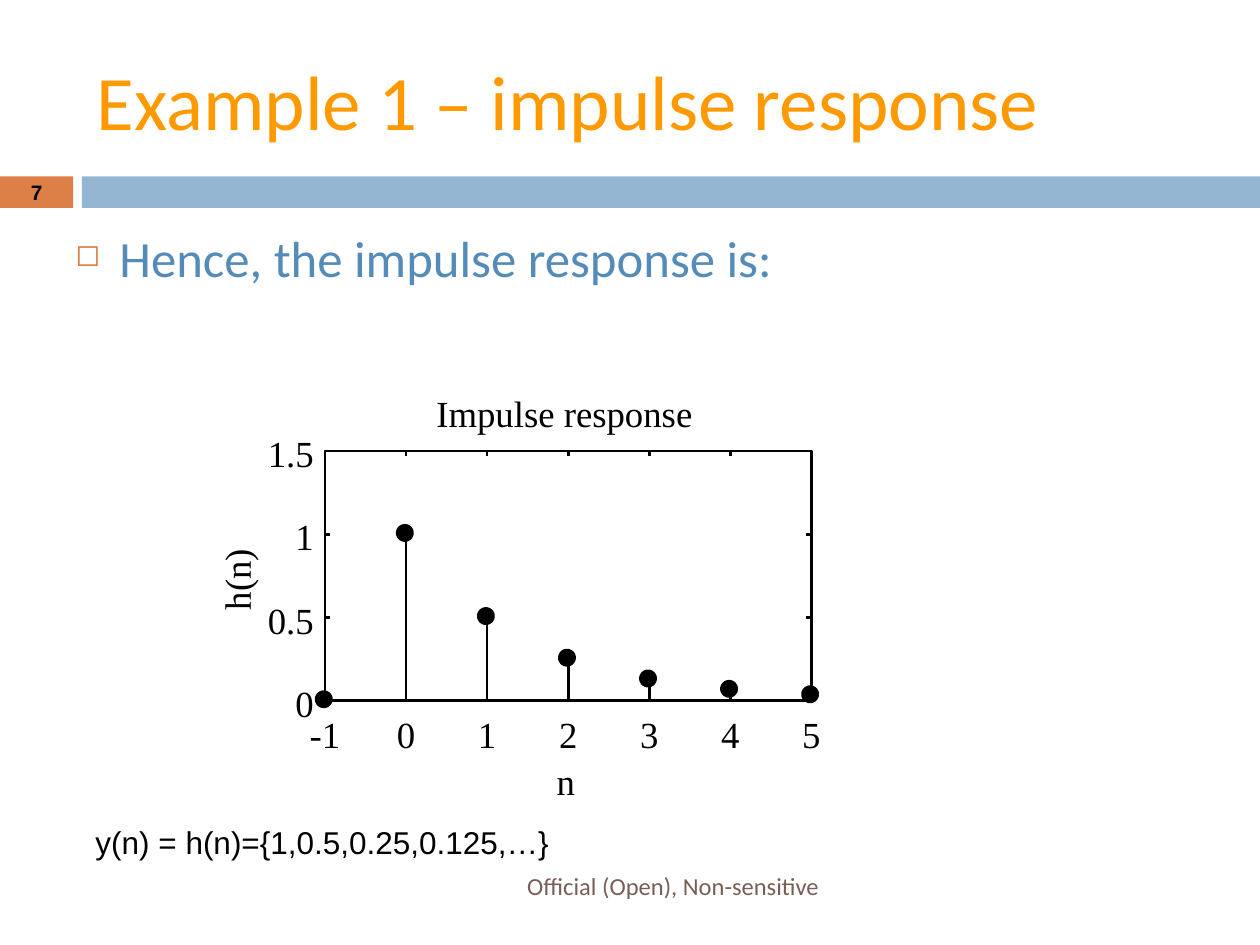
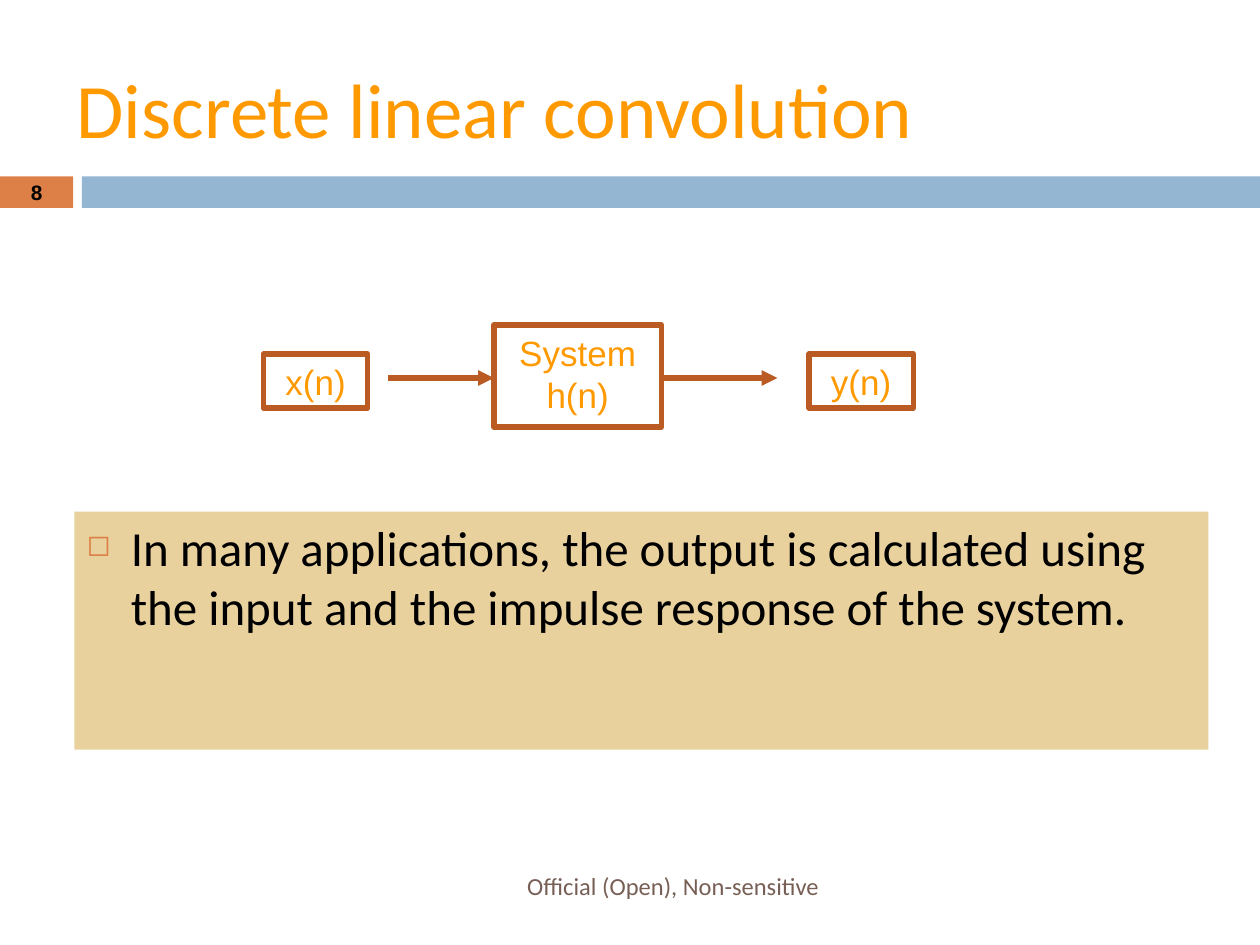
"""Build two slides on impulse response and discrete linear convolution."""
from dataclasses import dataclass

from lxml import etree
from pptx import Presentation
from pptx import util as u
from pptx.dml import color
from pptx.enum import shapes, text
from pptx.oxml import ns

COLORS = {
    "title": "FF9900", "accent": "DD8047", "band": "94B6D2", "footer": "775F55",
    "heading": "558BB8", "ink": "000000", "panel": "E8D19D", "diagram": "B95B22",
}
ALIGN = text.PP_ALIGN
ANCHOR = text.MSO_ANCHOR


@dataclass(frozen=True)
class Box:
    left: float
    top: float
    width: float
    height: float

    def lengths(self) -> list:
        return [u.Inches(v) for v in (self.left, self.top, self.width, self.height)]


@dataclass(frozen=True)
class Style:
    font: str
    size: float
    color: str
    bold: bool = False
    align: ALIGN = ALIGN.LEFT
    anchor: ANCHOR = ANCHOR.TOP
    inset: bool = True


TITLE = Style("Calibri", 44, "title", anchor=ANCHOR.MIDDLE)
NUMBER = Style("Arial", 11.9, "ink", True, ALIGN.CENTER, ANCHOR.MIDDLE)
FOOTER = Style("Calibri", 14, "footer", align=ALIGN.RIGHT, anchor=ANCHOR.MIDDLE)
HEADING = Style("Calibri", 29, "heading")
BODY = Style("Calibri", 28, "ink")
FORMULA = Style("Arial", 18, "ink")
BLOCK = Style("Arial", 20, "title", align=ALIGN.CENTER)
PLOT_TEXT = Style("Times New Roman", 21, "ink", align=ALIGN.CENTER, inset=False)
PLOT_VALUE = Style("Times New Roman", 21, "ink", align=ALIGN.RIGHT, inset=False)

PLOT = Box(2.58, 3.58, 3.86, 1.98)
FIRST_N, LAST_N, TOP_VALUE = -1, 5, 1.5
IMPULSE_RESPONSE = {-1: 0, 0: 1, 1: 0.5, 2: 0.25, 3: 0.125, 4: 0.0625, 5: 0.03}
TICK = 0.04
LABEL_HEIGHT = 0.42


def rgb(name: str) -> color.RGBColor:
    return color.RGBColor.from_string(COLORS[name])


def write(shape, content: str, style: Style, bullet: bool = False) -> None:
    frame = shape.text_frame
    frame.text = content
    frame.word_wrap = True
    frame.vertical_anchor = style.anchor
    if not style.inset:
        frame.margin_left = frame.margin_right = 0
        frame.margin_top = frame.margin_bottom = 0
    for paragraph in frame.paragraphs:
        if bullet:
            add_bullet(paragraph)
        paragraph.alignment = style.align
        for run in paragraph.runs:
            run.font.name = style.font
            run.font.size = u.Pt(style.size)
            run.font.bold = style.bold
            run.font.color.rgb = rgb(style.color)


def add_bullet(paragraph) -> None:
    properties = paragraph._p.get_or_add_pPr()
    indent = u.Inches(0.35)
    properties.set("marL", str(indent))
    properties.set("indent", str(-indent))
    bullet_color = etree.SubElement(properties, ns.qn("a:buClr"))
    etree.SubElement(bullet_color, ns.qn("a:srgbClr"), val=COLORS["accent"])
    etree.SubElement(properties, ns.qn("a:buSzPct"), val="60000")
    etree.SubElement(properties, ns.qn("a:buChar"), char="◻")


def add_text(slide, box: Box, content: str, style: Style,
             bullet: bool = False, rotation: float = 0):
    shape = slide.shapes.add_textbox(*box.lengths())
    shape.rotation = rotation
    write(shape, content, style, bullet)
    return shape


def add_preset(slide, box: Box, fill: str = "", line: str = "", weight: float = 1.5,
               kind=shapes.MSO_SHAPE.RECTANGLE):
    shape = slide.shapes.add_shape(kind, *box.lengths())
    shape.shadow.inherit = False
    if fill:
        shape.fill.solid()
        shape.fill.fore_color.rgb = rgb(fill)
    else:
        shape.fill.background()
    if line:
        shape.line.color.rgb = rgb(line)
        shape.line.width = u.Pt(weight)
    else:
        shape.line.fill.background()
    return shape


def add_line(slide, x1: float, y1: float, x2: float, y2: float,
             line: str = "ink", weight: float = 1.5, arrow: bool = False) -> None:
    ends = [u.Inches(v) for v in (x1, y1, x2, y2)]
    connector = slide.shapes.add_connector(shapes.MSO_CONNECTOR.STRAIGHT, *ends)
    connector.line.color.rgb = rgb(line)
    connector.line.width = u.Pt(weight)
    if arrow:
        etree.SubElement(connector.line._get_or_add_ln(), ns.qn("a:tailEnd"), type="triangle")
    etree.SubElement(connector._element.spPr, ns.qn("a:effectLst"))


def add_base_slide(presentation, number: int, title: str, title_box: Box):
    slide = presentation.slides.add_slide(presentation.slide_layouts[6])
    add_preset(slide, Box(0, 1.4, 0.58, 0.25), "accent")
    add_preset(slide, Box(0.65, 1.4, 9.35, 0.25), "band")
    add_text(slide, Box(0, 1.39, 0.58, 0.27), str(number), NUMBER)
    add_text(slide, title_box, title, TITLE)
    add_text(slide, Box(0.67, 6.83, 5.93, 0.4), "Official (Open), Non-sensitive", FOOTER)
    return slide


def plot_x(n: int) -> float:
    return PLOT.left + PLOT.width * (n - FIRST_N) / (LAST_N - FIRST_N)


def plot_y(value: float) -> float:
    return PLOT.top + PLOT.height * (1 - value / TOP_VALUE)


def add_stem_plot(slide) -> None:
    right, bottom = PLOT.left + PLOT.width, PLOT.top + PLOT.height
    add_preset(slide, PLOT, line="ink")
    for value in (0, 0.5, 1, 1.5):
        y = plot_y(value)
        add_line(slide, PLOT.left, y, PLOT.left + TICK, y)
        add_line(slide, right, y, right - TICK, y)
        add_text(slide, Box(1.99, y - 0.16, 0.5, LABEL_HEIGHT), str(value), PLOT_VALUE)
    for n, value in IMPULSE_RESPONSE.items():
        x, y = plot_x(n), plot_y(value)
        add_line(slide, x, bottom, x, bottom - TICK)
        add_line(slide, x, PLOT.top, x, PLOT.top + TICK)
        add_text(slide, Box(x - 0.3, 5.65, 0.6, LABEL_HEIGHT), str(n), PLOT_TEXT)
        if value:
            add_line(slide, x, bottom, x, y)
        add_preset(slide, Box(x - 0.04, y - 0.04, 0.06, 0.06), "ink", "ink", 6,
                   shapes.MSO_SHAPE.OVAL)
    add_text(slide, Box(4.19, 6.02, 0.6, LABEL_HEIGHT), "n", PLOT_TEXT)
    add_text(slide, Box(1.61, 4.39, 0.6, LABEL_HEIGHT), "h(n)", PLOT_TEXT, rotation=270)
    add_text(slide, Box(3.28, 3.1, 2.4, LABEL_HEIGHT), "Impulse response", PLOT_TEXT)


def add_impulse_slide(presentation) -> None:
    slide = add_base_slide(presentation, 7, "Example 1 – impulse response",
                           Box(0.67, 0.25, 8.92, 1.08))
    add_text(slide, Box(0.5, 1.75, 9, 0.64), "Hence, the impulse response is:", HEADING, True)
    add_stem_plot(slide)
    add_text(slide, Box(0.66, 6.48, 4.2, 0.4), "y(n) = h(n)={1,0.5,0.25,0.125,…}", FORMULA)


def add_convolution_slide(presentation) -> None:
    slide = add_base_slide(presentation, 8, "Discrete linear convolution",
                           Box(0.51, 0.52, 9, 0.67))
    panel = add_preset(slide, Box(0.59, 4.06, 9, 1.89), "panel")
    write(panel, "In many applications, the output is calculated using the input "
          "and the impulse response of the system.", BODY, True)
    blocks = {
        "x(n)": Box(2.09, 2.81, 0.83, 0.43),
        "System\nh(n)": Box(3.92, 2.58, 1.33, 0.81),
        "y(n)": Box(6.42, 2.81, 0.83, 0.43),
    }
    for label, box in blocks.items():
        write(add_preset(slide, box, line="diagram", weight=3), label, BLOCK)
    for start, end in ((3.08, 3.92), (5.25, 6.17)):
        add_line(slide, start, 3, end, 3, "diagram", 3, arrow=True)


def main() -> None:
    presentation = Presentation()
    presentation.slide_width = u.Inches(10)
    presentation.slide_height = u.Inches(7.5)
    add_impulse_slide(presentation)
    add_convolution_slide(presentation)
    presentation.save("out.pptx")


if __name__ == "__main__":
    main()
